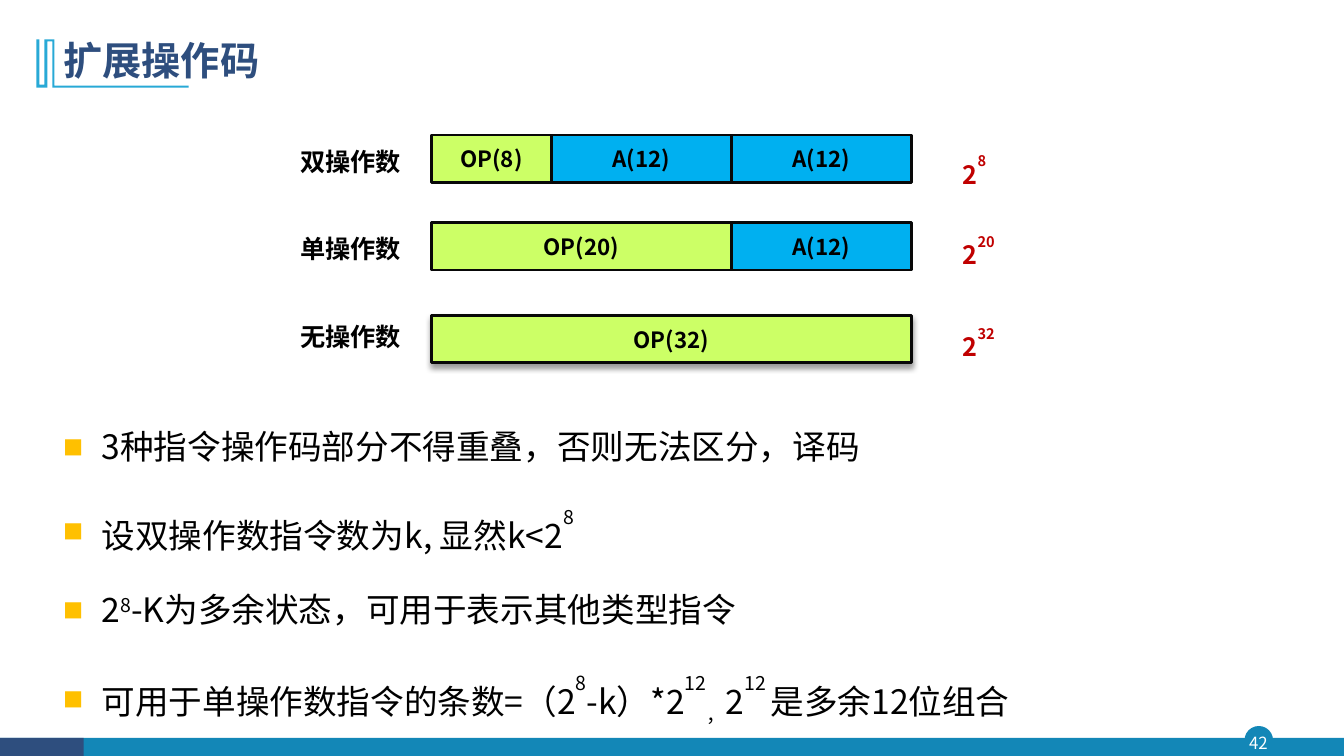
from pptx import Presentation
from pptx.dml.color import RGBColor
from pptx.enum.shapes import MSO_SHAPE
from pptx.enum.text import MSO_ANCHOR, MSO_AUTO_SIZE, PP_ALIGN
from pptx.oxml import parse_xml
from pptx.oxml.ns import nsdecls
from pptx.util import Inches, Pt

FONT = "Noto Sans CJK SC"
NAVY = RGBColor(0x2E, 0x4E, 0x7E)
TEAL = RGBColor(0x13, 0x87, 0xB7)
SKY = RGBColor(0x28, 0xA9, 0xD6)
LIME = RGBColor(0xCC, 0xFF, 0x66)
BLUE = RGBColor(0x00, 0xB0, 0xF0)
RED = RGBColor(0xC0, 0x00, 0x00)
OUTLINE = RGBColor(0x08, 0x08, 0x08)
BLACK = RGBColor(0, 0, 0)
WHITE = RGBColor(0xFF, 0xFF, 0xFF)
BULLET_COLOR = "FFC000"

WORD_BITS = 32
# top, label, label offset, fields, exponent, exponent offset, shadow
FORMATS = [
    (1.34, "双操作数", 0.06, [("OP", 8), ("A", 12), ("A", 12)], "8", 0.12, False),
    (2.21, "单操作数", 0.06, [("OP", 20), ("A", 12)], "20", 0.05, False),
    (3.13, "无操作数", 0.01, [("OP", 32)], "32", 0.04, True),
]
# Each run is its text and its baseline shift in percent
BULLETS = [
    [("3种指令操作码部分不得重叠，否则无法区分，译码", 0)],
    [("设双操作数指令数为k, 显然k<2", 0), ("8", 70)],
    [("2", 0), ("8", 30), ("-K为多余状态，可用于表示其他类型指令", 0)],
    [("可用于单操作数指令的条数=（2", 0), ("8", 70), ("-k）*2", 0), ("12", 70),
     ("，", -25), ("2", 0), ("12 ", 70), ("是多余12位组合", 0)],
]
TITLE_MARK = [(0.54, 0.39), (0.54, 0.85), (1.87, 0.85), (1.87, 0.87), (0.52, 0.87),
              (0.52, 0.41), (0.47, 0.41), (0.47, 0.87), (0.36, 0.87), (0.36, 0.39),
              (0.39, 0.39), (0.39, 0.84), (0.44, 0.84), (0.44, 0.39)]


def format_run(r, size, color, bold=False, shift=0):
    r.font.size = Pt(size)
    r.font.bold = bold
    r.font.color.rgb = color
    r.font.name = FONT
    rPr = r._r.get_or_add_rPr()
    rPr.append(parse_xml(f'<a:ea {nsdecls("a")} typeface="{FONT}"/>'))
    if shift:
        rPr.set("baseline", str(shift * 1000))


def add_runs(p, runs, size, color, bold=False):
    for text, shift in runs:
        r = p.add_run()
        r.text = text
        format_run(r, size, color, bold, shift)


def add_text(shapes, x, y, w, h, runs, size, color, bold=False):
    sp = shapes.add_textbox(Inches(x), Inches(y), Inches(w), Inches(h))
    sp.text_frame.word_wrap = True
    add_runs(sp.text_frame.paragraphs[0], runs, size, color, bold)
    return sp


def add_block(shapes, kind, x, y, w, h, fill, line=None, width=1):
    sp = shapes.add_shape(kind, Inches(x), Inches(y), Inches(w), Inches(h))
    sp.shadow.inherit = False
    paint(sp, fill, line, width)
    return sp


def paint(sp, fill, line=None, width=1):
    sp.fill.solid()
    sp.fill.fore_color.rgb = fill
    if line is None:
        sp.line.fill.background()
    else:
        sp.line.color.rgb = line
        sp.line.width = Pt(width)


def add_footer(slide, y, h):
    shapes = slide.shapes
    add_block(shapes, MSO_SHAPE.OVAL, 12.35, y - 0.11, 0.27, 0.27, TEAL, TEAL)
    add_block(shapes, MSO_SHAPE.RECTANGLE, 0, y, 13.33, h, TEAL)
    add_block(shapes, MSO_SHAPE.RECTANGLE, 0, y, 0.83, h, NAVY)
    sp = add_text(shapes, 12.32, y - 0.11, 0.32, 0.31, [("42", 0)], 12, WHITE)
    tf = sp.text_frame
    tf.margin_left = tf.margin_right = tf.margin_top = tf.margin_bottom = 0
    tf.vertical_anchor = MSO_ANCHOR.MIDDLE
    tf.paragraphs[0].alignment = PP_ALIGN.CENTER


def add_title(slide, x, y, w, h):
    start, *rest = [(Inches(px), Inches(py)) for px, py in TITLE_MARK]
    builder = slide.shapes.build_freeform(*start)
    builder.add_line_segments(rest, close=True)
    mark = builder.convert_to_shape()
    mark.shadow.inherit = False
    paint(mark, SKY)

    title = slide.shapes.title
    title.left, title.top, title.width, title.height = map(Inches, (x, y, w, h))
    tf = title.text_frame
    tf.text = "扩展操作码"
    tf.auto_size = MSO_AUTO_SIZE.NONE
    tf.vertical_anchor = MSO_ANCHOR.MIDDLE
    p = tf.paragraphs[0]
    p.alignment = PP_ALIGN.LEFT
    p.line_spacing = 0.9
    format_run(p.runs[0], 28, NAVY, True)


def add_drop_shadow(sp):
    spPr = sp._element.spPr
    effects = spPr.find("{http://schemas.openxmlformats.org/drawingml/2006/main}effectLst")
    effects.append(parse_xml(
        f'<a:outerShdw {nsdecls("a")} blurRad="{Pt(4)}" dist="{Pt(3)}" dir="5400000" '
        'rotWithShape="0"><a:srgbClr val="000000"><a:alpha val="40000"/></a:srgbClr>'
        '</a:outerShdw>'))


def add_format(slide, x, y, w, h, label, label_dy, fields, exponent, power_dy, shadow):
    """Draw one instruction word, its fields as wide as their bits."""
    shapes = slide.shapes.add_group_shape().shapes
    left = x
    for name, bits in fields:
        width = w * bits / WORD_BITS
        sp = add_block(shapes, MSO_SHAPE.RECTANGLE, left, y, width, h,
                       LIME if name == "OP" else BLUE, OUTLINE, 2)
        sp.text_frame.vertical_anchor = MSO_ANCHOR.MIDDLE
        p = sp.text_frame.paragraphs[0]
        p.alignment = PP_ALIGN.CENTER
        add_runs(p, [(f"{name}({bits})", 0)], 16, BLACK, True)
        if shadow:
            add_drop_shadow(sp)
        left += width
    add_text(shapes, x - 1.4, y + label_dy, 1.26, 0.4, [(label, 0)], 18, BLACK, True)
    add_text(slide.shapes, x + w + 0.41, y + power_dy, 1.26, 0.4,
             [("2", 0), (exponent, 70)], 18, RED, True)


def add_bullets(slide, x, y, w, h):
    tf = slide.shapes.add_textbox(*map(Inches, (x, y, w, h))).text_frame
    tf.word_wrap = True
    for i, runs in enumerate(BULLETS):
        p = tf.add_paragraph() if i else tf.paragraphs[0]
        p.line_spacing = 1.5
        if i:
            p.space_before = Pt(10)
        pPr = p._p.get_or_add_pPr()
        pPr.set("marL", str(Inches(0.38)))
        pPr.set("indent", str(-Inches(0.38)))
        for tag in (f'buClr {nsdecls("a")}><a:srgbClr val="{BULLET_COLOR}"/></a:buClr>',
                    f'buSzPct {nsdecls("a")} val="60000"/>',
                    f'buFont {nsdecls("a")} typeface="{FONT}"/>',
                    f'buChar {nsdecls("a")} char="■"/>'):
            pPr.append(parse_xml("<a:" + tag))
        add_runs(p, runs, 24, BLACK)


def main():
    prs = Presentation()
    prs.slide_width, prs.slide_height = Inches(13.33), Inches(7.5)
    slide = prs.slides.add_slide(prs.slide_layouts[5])
    add_footer(slide, 7.32, 0.19)
    add_title(slide, 0.53, 0.28, 11.5, 0.68)
    add_bullets(slide, 0.53, 3.98, 11.5, 3.22)
    for top, *details in FORMATS:
        add_format(slide, 4.28, top, 4.76, 0.47, *details)
    prs.save("out.pptx")


if __name__ == "__main__":
    main()
